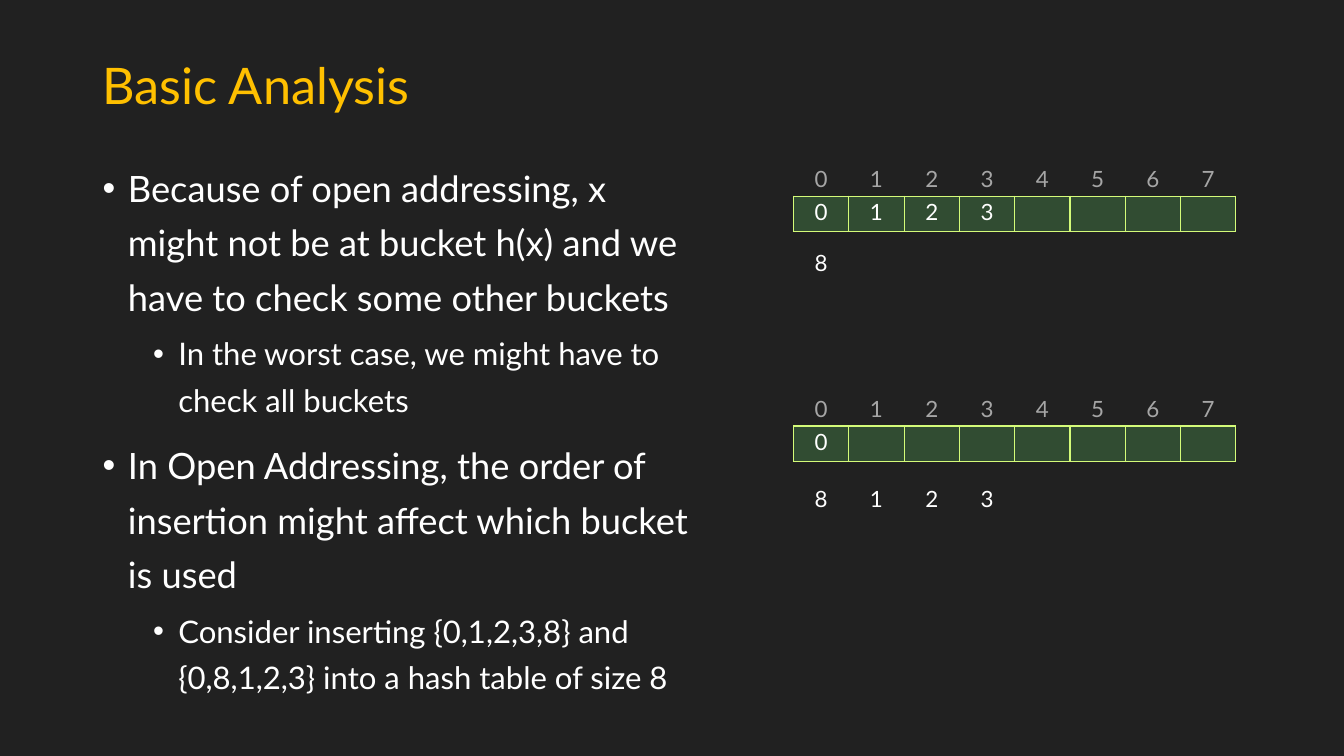
from dataclasses import dataclass
from lxml.etree import SubElement
from pptx import Presentation
from pptx.dml.color import RGBColor
from pptx.enum.text import MSO_ANCHOR, PP_ALIGN
from pptx.oxml.ns import qn
from pptx.util import Pt

SCALE = 9144


@dataclass(frozen=True)
class Theme:
    font: str = "Lato"
    background: str = "212121"
    title: str = "FFC000"
    text: str = "FFFFFF"
    index: str = "A6A6A6"
    border: str = "D4FB79"
    bucket: str = "73FA79"
    bucket_alpha: int = 20000
    title_size: float = 36
    body_sizes: tuple = (25.9, 22.2)
    digit_size: float = 16


THEME = Theme()
POINTS = (
    (0, "Because of open addressing, x might not be at bucket h(x) and we have to check some other buckets"),
    (1, "In the worst case, we might have to check all buckets"),
    (0, "In Open Addressing, the order of insertion might affect which bucket is used"),
    (1, "Consider inserting {0,1,2,3,8} and {0,8,1,2,3} into a hash table of size 8"),
)
BUCKETS = 8


def px(length):
    return int(length * SCALE)


def apply(target, values):
    for name, value in values.items():
        setattr(target, name, value)


def add_span(para, text, size, color):
    span = para.add_run()
    span.text = text
    apply(span.font, {"name": THEME.font, "size": Pt(size)})
    span.font.color.rgb = RGBColor.from_string(color)


def add_box(page, left, top, width, height):
    box = page.shapes.add_textbox(px(left), px(top), px(width), px(height))
    box.text_frame.word_wrap = True
    return box.text_frame


def add_title(page, left, top, width, height):
    frame = add_box(page, left, top, width, height)
    frame.vertical_anchor = MSO_ANCHOR.MIDDLE
    para = frame.paragraphs[0]
    para.line_spacing = 0.9
    add_span(para, "Basic Analysis", THEME.title_size, THEME.title)


def add_points(page, left, top, width, height):
    frame = add_box(page, left, top, width, height)
    for number, (level, text) in enumerate(POINTS):
        para = frame.add_paragraph() if number else frame.paragraphs[0]
        apply(para, {"level": level, "line_spacing": 1.25, "space_before": Pt((10, 5)[level])})
        properties = para._p.get_or_add_pPr()
        properties.set("marL", str(px(25 + 50 * level)))
        properties.set("indent", str(px(-25)))
        SubElement(properties, qn("a:buFont"), typeface="Arial")
        SubElement(properties, qn("a:buChar"), char="•")
        add_span(para, text, THEME.body_sizes[level], THEME.text)


def set_borders(cell, visible_sides):
    properties = cell._tc.get_or_add_tcPr()
    for side in "LRTB":
        line = SubElement(properties, qn(f"a:ln{side}"), w=str(Pt(1)))
        if side in visible_sides:
            solid = SubElement(line, qn("a:solidFill"))
            SubElement(solid, qn("a:srgbClr"), val=THEME.border)
        else:
            SubElement(line, qn("a:noFill"))


def fill_bucket(cell):
    cell.fill.solid()
    cell.fill.fore_color.rgb = RGBColor.from_string(THEME.bucket)
    color = cell._tc.tcPr.find(f".//{qn('a:solidFill')}[last()]")
    color = cell._tc.tcPr.find(qn("a:solidFill")).find(qn("a:srgbClr"))
    SubElement(color, qn("a:alpha"), val=str(THEME.bucket_alpha))


def add_digits(page, left, top, width, digits):
    for column, digit in enumerate(digits):
        frame = add_box(page, left + column * width, top, width, 37)
        apply(frame, {"margin_left": 0, "margin_right": 0})
        para = frame.paragraphs[0]
        para.alignment = PP_ALIGN.CENTER
        add_span(para, digit, THEME.digit_size, THEME.text)


def add_hash_table(page, left, top, width, height, stored, waiting, waiting_top):
    table = page.shapes.add_table(2, BUCKETS, px(left), px(top), px(width), px(height)).table
    apply(table, {"first_row": False, "horz_banding": False})
    for row, row_height in zip(table.rows, (height // 2, height - height // 2)):
        row.height = px(row_height)
    for column in range(BUCKETS):
        header, bucket = (table.cell(row, column) for row in range(2))
        for cell, sides in ((header, "B"), (bucket, "LRTB")):
            margins = {f"margin_{side}": px(4) for side in ("left", "right", "top", "bottom")}
            apply(cell, {**margins, "vertical_anchor": MSO_ANCHOR.BOTTOM})
            set_borders(cell, sides)
        header.fill.background()
        fill_bucket(bucket)
        para = header.text_frame.paragraphs[0]
        para.alignment = PP_ALIGN.CENTER
        add_span(para, str(column), THEME.digit_size, THEME.index)
        empty = bucket.text_frame.paragraphs[0]._p
        SubElement(empty, qn("a:endParaRPr"), sz=str(int(THEME.digit_size * 100)))
    add_digits(page, left, top + 32, width / BUCKETS, stored)
    add_digits(page, left, top + waiting_top, width / BUCKETS, waiting)


def main():
    deck = Presentation()
    apply(deck, {"slide_width": px(1333), "slide_height": px(750)})
    page = deck.slides.add_slide(deck.slide_layouts[6])
    page.background.fill.solid()
    page.background.fill.fore_color.rgb = RGBColor.from_string(THEME.background)
    add_title(page, 92, 40, 1150, 95)
    add_points(page, 92, 149, 608, 549)
    add_hash_table(page, 787, 160, 439, 69, "0123", "8", 82)
    add_hash_table(page, 787, 388, 439, 69, "0", "8123", 88)
    deck.save("out.pptx")


if __name__ == "__main__":
    main()
